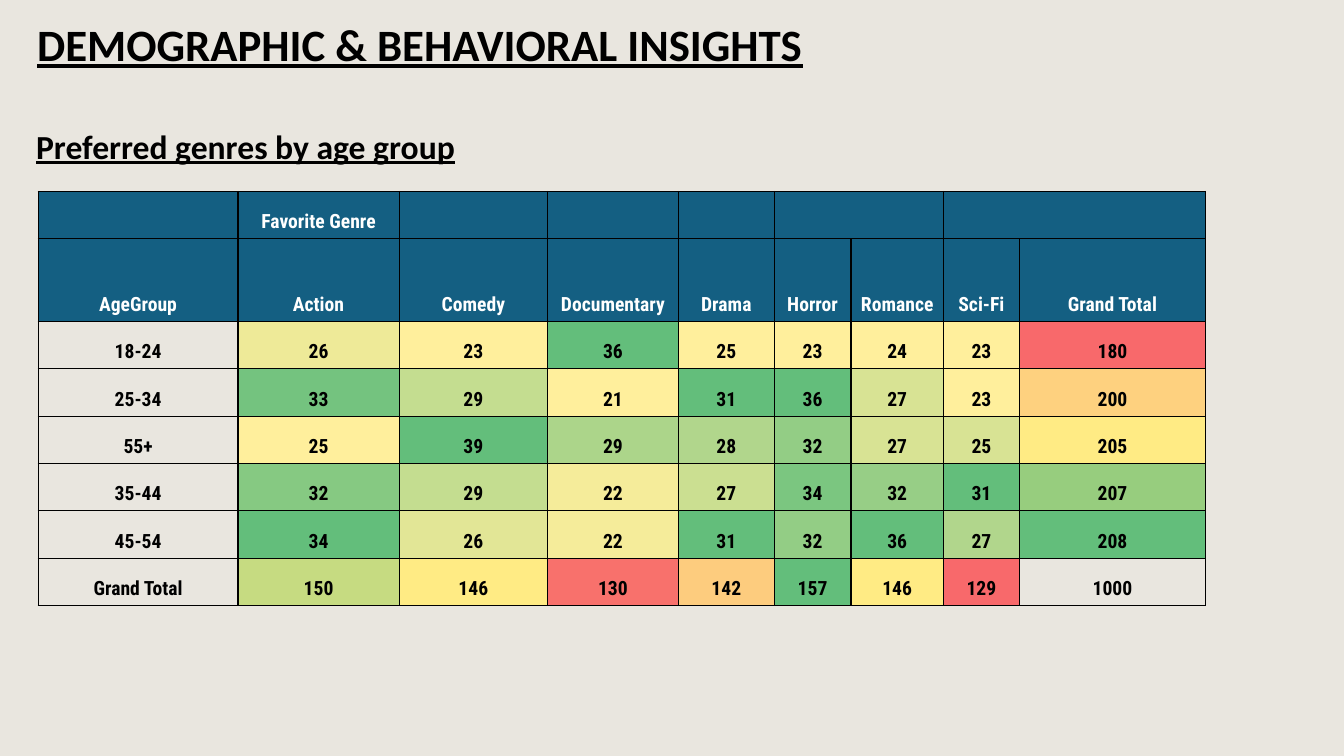
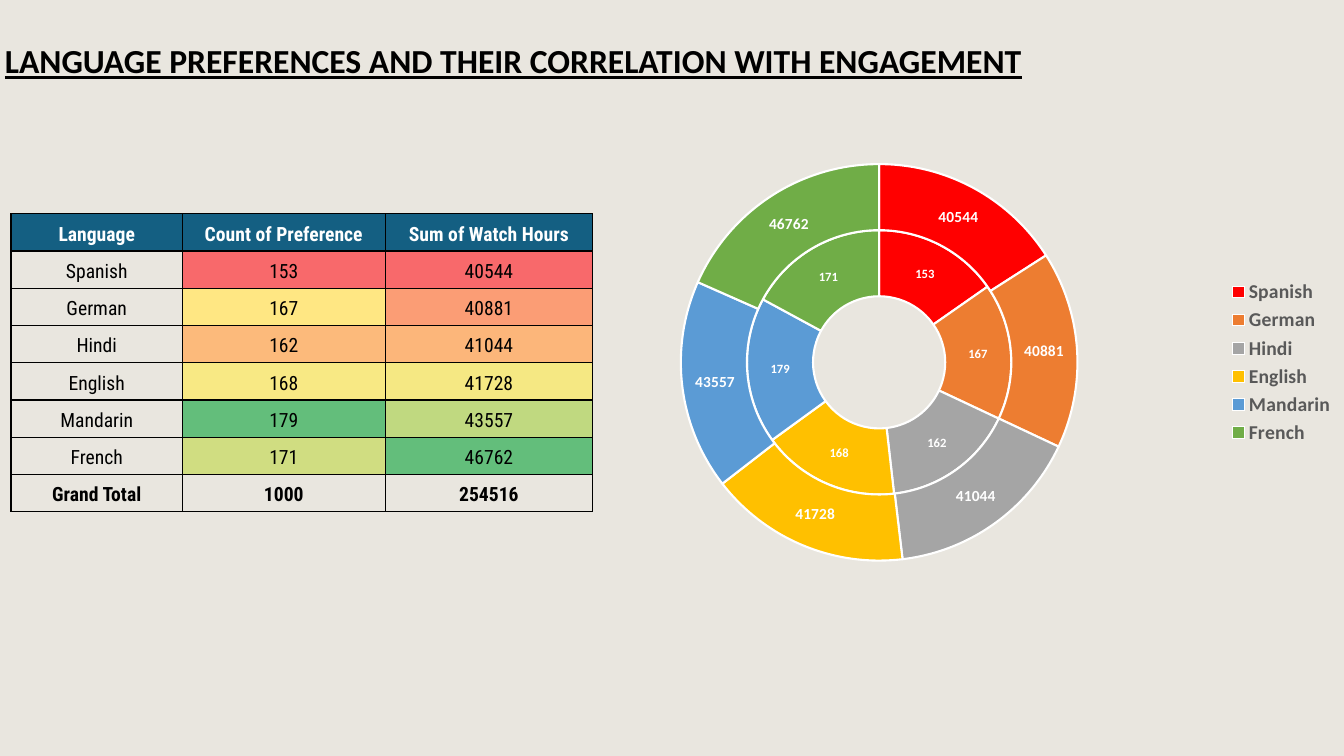
from pptx import Presentation
from pptx.chart.data import CategoryChartData
from pptx.dml.color import RGBColor
from pptx.enum.chart import XL_CHART_TYPE, XL_LEGEND_POSITION
from pptx.enum.text import MSO_ANCHOR, PP_ALIGN
from pptx.oxml import parse_xml
from pptx.oxml.ns import nsdecls, qn
from pptx.util import Inches, Pt

BACKGROUND = RGBColor(0xE9, 0xE6, 0xDF)
HEADER = RGBColor(0x14, 0x5F, 0x82)
BLACK = RGBColor(0, 0, 0)
WHITE = RGBColor(255, 255, 255)
GRAY = RGBColor(0x59, 0x59, 0x59)
RED = RGBColor(0xF8, 0x69, 0x6B)
YELLOW = RGBColor(0xFF, 0xEB, 0x84)
PALE_YELLOW = RGBColor(0xFF, 0xEF, 0x9C)
GREEN = RGBColor(0x63, 0xBE, 0x7B)
SLICES = [RGBColor.from_string(c) for c in
          ("FF0000", "ED7D31", "A5A5A5", "FFC000", "5B9BD5", "70AD47")]
TEXT_FONT = "Calibri"
TABLE_FONT = "Roboto Condensed"


def blend(start, end, share):
    return RGBColor(*(round(a + (b - a) * share) for a, b in zip(start, end)))


def two_color_scale(values):
    """Pale yellow for the lowest value, green for the highest."""
    low, high = min(values), max(values)
    return [blend(PALE_YELLOW, GREEN, (v - low) / (high - low)) for v in values]


def three_color_scale(values):
    """Red for the lowest value, yellow for the median, green for the highest."""
    ordered = sorted(values)
    low, high = ordered[0], ordered[-1]
    mid = (ordered[(len(ordered) - 1) // 2] + ordered[len(ordered) // 2]) / 2
    return [blend(RED, YELLOW, (v - low) / (mid - low)) if v < mid
            else blend(YELLOW, GREEN, (v - mid) / (high - mid)) for v in values]


class Deck:
    def __init__(self):
        self.prs = Presentation()
        self.prs.slide_width, self.prs.slide_height = Inches(13.33), Inches(7.5)
        fill = self.prs.slide_master.background.fill
        fill.solid()
        fill.fore_color.rgb = BACKGROUND
        self.s = None

    def new_slide(self):
        self.s = self.prs.slides.add_slide(self.prs.slide_layouts[6])

    def style(self, font, size, color, bold=True, name=TEXT_FONT):
        font.name, font.size, font.bold = name, Pt(size), bold
        font.color.rgb = color

    def heading(self, text, x, y, w, h, size, anchor=MSO_ANCHOR.MIDDLE, spacing=0.9):
        tf = self.s.shapes.add_textbox(Inches(x), Inches(y), Inches(w), Inches(h)).text_frame
        tf.word_wrap = True
        tf.vertical_anchor = anchor
        p = tf.paragraphs[0]
        p.text = text
        p.line_spacing = spacing
        self.style(p.runs[0].font, size, BLACK)
        p.runs[0].font.underline = True

    def cell(self, cell, text, color, bold, fill):
        cell.margin_left = cell.margin_right = cell.margin_top = Inches(0.01)
        cell.margin_bottom = Inches(0.05)
        cell.vertical_anchor = MSO_ANCHOR.BOTTOM
        p = cell.text_frame.paragraphs[0]
        p.text = str(text)
        p.alignment = PP_ALIGN.CENTER
        for r in p.runs:
            self.style(r.font, 14, color, bold, TABLE_FONT)
        # Borders precede the fill in the cell properties
        tc_pr = cell._tc.get_or_add_tcPr()
        for side in ("lnL", "lnR", "lnT", "lnB"):
            tc_pr.append(parse_xml(
                f'<a:{side} {nsdecls("a")} w="{Pt(1)}"><a:solidFill>'
                f'<a:srgbClr val="{BLACK}"/></a:solidFill></a:{side}>'))
        if fill is None:
            cell.fill.background()
        else:
            cell.fill.solid()
            cell.fill.fore_color.rgb = fill

    def table(self, rows, x, y, widths, heights, fills, headers=1, bold_body=True):
        """Fills maps (row, column) to a colour; the last row is the total."""
        frame = self.s.shapes.add_table(len(rows), len(widths), Inches(x), Inches(y),
                                        Inches(sum(widths)), Inches(sum(heights)))
        table = frame.table
        table.first_row = table.horz_banding = False
        for column, width in zip(table.columns, widths):
            column.width = Inches(width)
        for i, (row, height) in enumerate(zip(rows, heights)):
            table.rows[i].height = Inches(height)
            is_header = i < headers
            bold = bold_body or is_header or i == len(rows) - 1
            for j, text in enumerate(row):
                self.cell(table.cell(i, j), text, WHITE if is_header else BLACK, bold,
                          HEADER if is_header else fills.get((i, j)))
        return table

    def doughnut(self, categories, series, label_sizes, x, y, w, h):
        data = CategoryChartData()
        data.categories = categories
        for name, values in series:
            data.add_series(name, values)
        chart = self.s.shapes.add_chart(XL_CHART_TYPE.DOUGHNUT, Inches(x), Inches(y),
                                        Inches(w), Inches(h), data).chart
        chart.has_title = False
        self.style(chart.font, 10, BLACK, False)
        chart.has_legend = True
        chart.legend.position = XL_LEGEND_POSITION.RIGHT
        chart.legend.include_in_layout = False
        self.style(chart.legend.font, 14, GRAY)
        plot = chart.plots[0]
        plot.vary_by_categories = True
        plot._element.find(qn("c:holeSize")).set("val", "35")
        for ring, size in zip(plot.series, label_sizes):
            for i, color in enumerate(SLICES):
                slice_format = ring.points[i].format
                slice_format.fill.solid()
                slice_format.fill.fore_color.rgb = color
                slice_format.line.color.rgb = WHITE
                slice_format.line.width = Pt(1.5)
            ring.data_labels.show_value = True
            self.style(ring.data_labels.font, size, WHITE)


def column_fills(rows, first_row, columns, scale):
    """Color each column by its own values, leaving out the total row."""
    return {(first_row + i, j): color for j in columns
            for i, color in enumerate(scale([row[j] for row in rows]))}


def genre_slide(deck):
    deck.new_slide()
    deck.heading("DEMOGRAPHIC & BEHAVIORAL INSIGHTS", 0.27, 0, 10.07, 0.93, 32)
    deck.heading("Preferred genres by age group", 0.26, 1.2, 7.17, 0.5, 24,
                 MSO_ANCHOR.TOP, 1.0)
    headers = [
        ["", "Favorite Genre"] + [""] * 7,
        ["AgeGroup", "Action", "Comedy", "Documentary", "Drama", "Horror",
         "Romance", "Sci-Fi", "Grand Total"],
    ]
    ages = [
        ["18-24", 26, 23, 36, 25, 23, 24, 23, 180],
        ["25-34", 33, 29, 21, 31, 36, 27, 23, 200],
        ["55+", 25, 39, 29, 28, 32, 27, 25, 205],
        ["35-44", 32, 29, 22, 27, 34, 32, 31, 207],
        ["45-54", 34, 26, 22, 31, 32, 36, 27, 208],
    ]
    total = ["Grand Total", 150, 146, 130, 142, 157, 146, 129, 1000]
    fills = column_fills(ages, 2, range(1, 8), two_color_scale)
    fills.update(column_fills(ages, 2, [8], three_color_scale))
    fills.update({(7, j): color for j, color in
                  enumerate(three_color_scale(total[1:8]), 1)})
    table = deck.table(headers + ages + [total], 0.38, 1.9,
                       [1.98, 1.6, 1.47, 1.3, 0.95, 0.76, 0.92, 0.75, 1.85],
                       [0.47, 0.82] + [0.47] * 6, fills, headers=2)
    for j in (5, 7):
        table.cell(0, j).merge(table.cell(0, j + 1))


def language_slide(deck):
    deck.new_slide()
    deck.heading("LANGUAGE PREFERENCES AND THEIR CORRELATION WITH ENGAGEMENT",
                 -0.05, 0.19, 10.65, 0.87, 24)
    header = ["Language", "Count of Preference", "Sum of Watch Hours"]
    languages = [
        ["Spanish", 153, 40544],
        ["German", 167, 40881],
        ["Hindi", 162, 41044],
        ["English", 168, 41728],
        ["Mandarin", 179, 43557],
        ["French", 171, 46762],
    ]
    total = ["Grand Total", 1000, 254516]
    names, counts, hours = zip(*languages)
    deck.doughnut(names, [("Series 1", counts), ("Series 2", hours)], (9, 11),
                  5.28, 1.49, 8.06, 4.21)
    deck.table([header] + languages + [total], 0.11, 2.12, [1.7, 2.01, 2.06],
               [0.37] * 8, column_fills(languages, 1, (1, 2), three_color_scale),
               bold_body=False)


def main():
    deck = Deck()
    genre_slide(deck)
    language_slide(deck)
    deck.prs.save("out.pptx")


if __name__ == "__main__":
    main()
